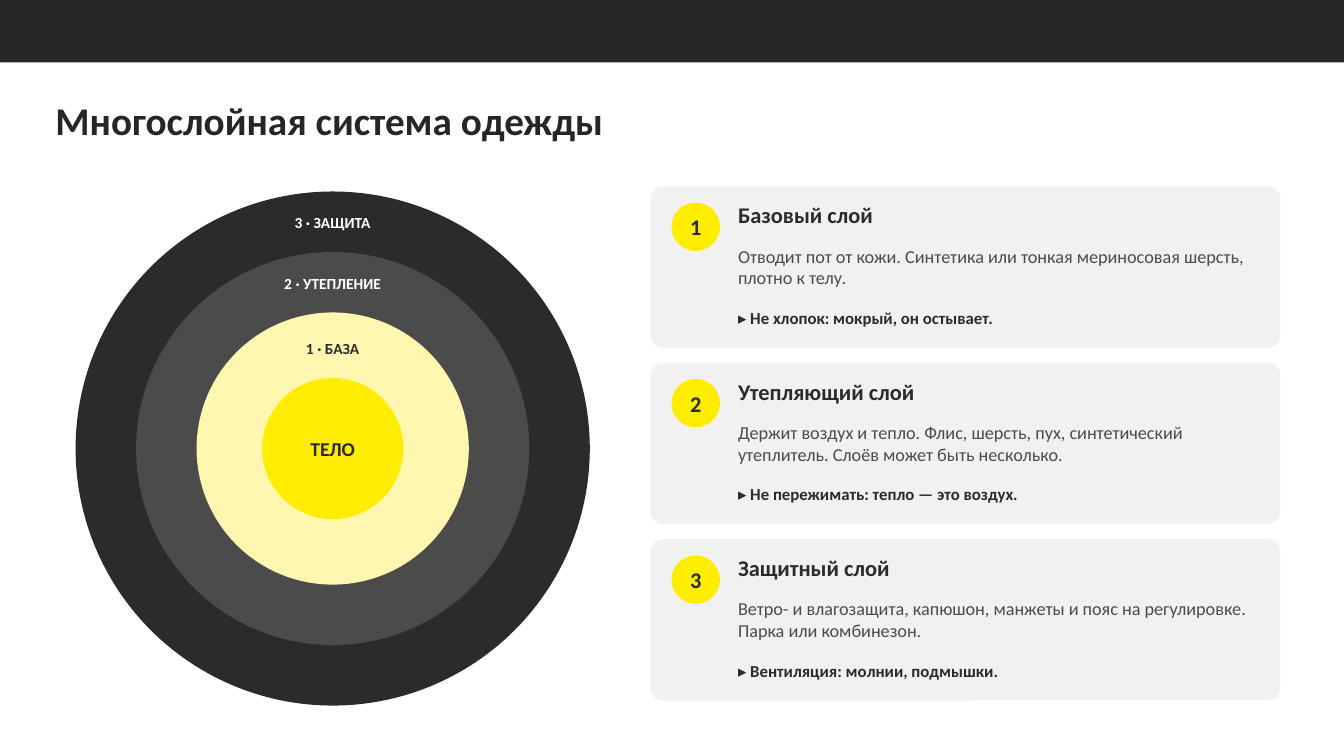
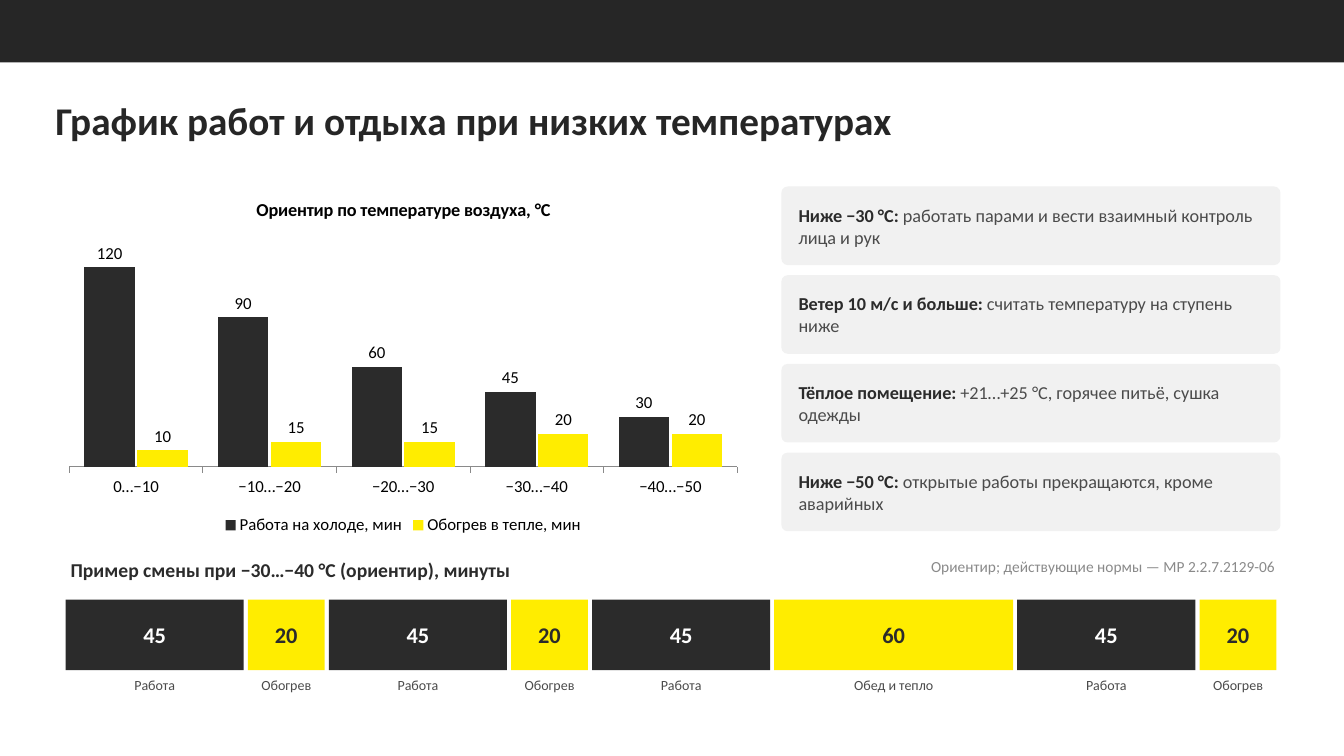
from pptx import Presentation
from pptx import util as u
from pptx.chart import data
from pptx.dml import color as dml
from pptx.enum import chart as charts, shapes, text

FONT = "Calibri"
BAND, DARK, GREY = "262626", "2B2B2B", "4B4B4B"
YELLOW, CREAM, PALE = "FFED00", "FFF7B0", "F1F1F1"
WHITE, MUTED, BLACK = "FFFFFF", "8A8A8A", "000000"
RECT = shapes.MSO_SHAPE.RECTANGLE
ROUNDED = shapes.MSO_SHAPE.ROUNDED_RECTANGLE
OVAL = shapes.MSO_SHAPE.OVAL
LEFT, CENTER, RIGHT = text.PP_ALIGN.LEFT, text.PP_ALIGN.CENTER, text.PP_ALIGN.RIGHT
TOP, MIDDLE = text.MSO_ANCHOR.TOP, text.MSO_ANCHOR.MIDDLE


def style_font(font, size, color, bold=False):
    font.name, font.size, font.bold = FONT, u.Pt(size), bold
    font.color.rgb = dml.RGBColor.from_string(color)


def place(page, at, words="", size=12, color=DARK, bold=False, align=LEFT,
          anchor=TOP, inset=0.02, kind=None, fill=None):
    """Add a filled shape, or a text box when no kind is given."""
    area = [u.Inches(length) for length in at]
    if kind is None:
        box = page.shapes.add_textbox(*area)
    else:
        box = page.shapes.add_shape(kind, *area)
        box.shadow.inherit = False
        box.fill.solid()
        box.fill.fore_color.rgb = dml.RGBColor.from_string(fill)
        box.line.fill.background()
        if kind == ROUNDED:
            box.adjustments[0] = 0.08
    if words:
        frame = box.text_frame
        frame.word_wrap = True
        frame.vertical_anchor = anchor
        frame.margin_left = frame.margin_right = u.Inches(inset)
        frame.margin_top = frame.margin_bottom = u.Inches(0.03)
        para = frame.paragraphs[0]
        para.alignment = align
        para.add_run().text = words
        style_font(para.font, size, color, bold)
    return box


deck = Presentation()
deck.slide_width, deck.slide_height = u.Inches(13.33), u.Inches(7.5)

# Title and top band on every slide
pages = []
for heading in ("Многослойная система одежды",
                "График работ и отдыха при низких температурах"):
    page = deck.slides.add_slide(deck.slide_layouts[5])
    title = page.shapes.title
    title.left, title.top = u.Inches(0.45), u.Inches(0.84)
    title.width, title.height = u.Inches(11.5), u.Inches(0.75)
    title.text_frame.text = heading
    title.text_frame.vertical_anchor = MIDDLE
    para = title.text_frame.paragraphs[0]
    para.alignment = LEFT
    para.line_spacing = 0.9
    style_font(para.font, 28, BAND, True)
    place(page, (0, 0, 13.33, 0.62), kind=RECT, fill=BAND)
    pages.append(page)
layers_page, schedule_page = pages

# Clothing layers as concentric circles
center_x, center_y = 3.3, 4.45
for diameter, fill in ((5.1, DARK), (3.9, GREY), (2.7, CREAM), (1.4, YELLOW)):
    place(layers_page, (center_x - diameter / 2, center_y - diameter / 2,
                        diameter, diameter), kind=OVAL, fill=fill)
for words, top, height, size, color in (
        ("ТЕЛО", 4.25, 0.4, 14, DARK),
        ("1 · БАЗА", 3.31, 0.3, 11, DARK),
        ("2 · УТЕПЛЕНИЕ", 2.66, 0.3, 11, WHITE),
        ("3 · ЗАЩИТА", 2.06, 0.3, 11, WHITE)):
    place(layers_page, (center_x - 1.2, top, 2.4, height), words, size, color,
          True, CENTER, MIDDLE, 0.05)

# Layer cards
layers = (
    ("Базовый слой",
     "Отводит пот от кожи. Синтетика или тонкая мериносовая шерсть, плотно к телу.",
     "▸ Не хлопок: мокрый, он остывает."),
    ("Утепляющий слой",
     "Держит воздух и тепло. Флис, шерсть, пух, синтетический утеплитель. "
     "Слоёв может быть несколько.",
     "▸ Не пережимать: тепло — это воздух."),
    ("Защитный слой",
     "Ветро- и влагозащита, капюшон, манжеты и пояс на регулировке. "
     "Парка или комбинезон.",
     "▸ Вентиляция: молнии, подмышки."),
)
for index, (name, description, advice) in enumerate(layers):
    top = 1.85 + 1.75 * index
    place(layers_page, (6.45, top, 6.25, 1.6), kind=ROUNDED, fill=PALE)
    place(layers_page, (6.66, top + 0.16, 0.48, 0.48), str(index + 1), 16, DARK,
          True, CENTER, MIDDLE, 0, OVAL, YELLOW)
    place(layers_page, (7.3, top + 0.12, 5.3, 0.4), name, 16, bold=True)
    place(layers_page, (7.3, top + 0.55, 5.3, 0.6), description, 13, GREY)
    place(layers_page, (7.3, top + 1.17, 5.3, 0.35), advice, 12, bold=True)

# Work and warming chart
chart_data = data.CategoryChartData()
chart_data.categories = ["0…−10", "−10…−20", "−20…−30", "−30…−40", "−40…−50"]
chart_data.add_series("Работа на холоде, мин", (120, 90, 60, 45, 30))
chart_data.add_series("Обогрев в тепле, мин", (10, 15, 15, 20, 20))
chart = schedule_page.shapes.add_chart(
    charts.XL_CHART_TYPE.COLUMN_CLUSTERED, u.Inches(0.55), u.Inches(1.8),
    u.Inches(6.9), u.Inches(3.55), chart_data).chart
style_font(chart.font, 12, BLACK)
chart.has_title = True
chart.chart_title.include_in_layout = False
chart.chart_title.text_frame.text = "Ориентир по температуре воздуха, °C"
style_font(chart.chart_title.text_frame.paragraphs[0].font, 13, BLACK, True)
chart.has_legend = True
chart.legend.position = charts.XL_LEGEND_POSITION.BOTTOM
chart.legend.include_in_layout = False
style_font(chart.legend.font, 12, BLACK)
chart.value_axis.visible = False
chart.value_axis.has_major_gridlines = False
chart.category_axis.major_tick_mark = charts.XL_TICK_MARK.OUTSIDE
chart.category_axis.format.line.color.rgb = dml.RGBColor.from_string(MUTED)
style_font(chart.category_axis.tick_labels.font, 12, BLACK)
plot = chart.plots[0]
plot.vary_by_categories = False
plot.gap_width, plot.overlap = 60, -5
for series, fill in zip(plot.series, (DARK, YELLOW)):
    series.format.fill.solid()
    series.format.fill.fore_color.rgb = dml.RGBColor.from_string(fill)
    labels = series.data_labels
    labels.show_value = True
    labels.position = charts.XL_LABEL_POSITION.OUTSIDE_END
    style_font(labels.font, 12, BLACK)

# Rule cards
rules = (
    ("Ниже −30 °C: ", "работать парами и вести взаимный контроль лица и рук"),
    ("Ветер 10 м/с и больше: ", "считать температуру на ступень ниже"),
    ("Тёплое помещение: ", "+21…+25 °C, горячее питьё, сушка одежды"),
    ("Ниже −50 °C: ", "открытые работы прекращаются, кроме аварийных"),
)
for index, (condition, action) in enumerate(rules):
    top = 1.85 + 0.88 * index
    place(schedule_page, (7.75, top, 4.95, 0.78), kind=ROUNDED, fill=PALE)
    box = place(schedule_page, (7.9, top, 4.7, 0.78), condition, 13, bold=True,
                anchor=MIDDLE)
    span = box.text_frame.paragraphs[0].add_run()
    span.text = action
    style_font(span.font, 13, GREY)

# Sample shift, block widths in proportion to minutes
place(schedule_page, (0.65, 5.5, 6.3, 0.35),
      "Пример смены при −30…−40 °C (ориентир), минуты", 14, bold=True, inset=0.05)
place(schedule_page, (7, 5.5, 5.7, 0.35),
      "Ориентир; действующие нормы — МР 2.2.7.2129-06", 11, MUTED,
      align=RIGHT, inset=0.05)
work, warming, lunch = (45, "Работа"), (20, "Обогрев"), (60, "Обед и тепло")
shift = (work, warming, work, warming, work, lunch, work, warming)
inches_per_minute = 12.05 / sum(minutes for minutes, _ in shift)
gap = 0.04
left = 0.65
for minutes, activity in shift:
    step = minutes * inches_per_minute
    fill, color = (DARK, WHITE) if activity == "Работа" else (YELLOW, DARK)
    place(schedule_page, (left, 5.95, step - gap, 0.7), str(minutes), 16, color,
          True, CENTER, MIDDLE, 0.01, RECT, fill)
    place(schedule_page, (left, 6.68, step - gap, 0.3), activity, 10, GREY,
          align=CENTER, inset=0)
    left += step

deck.save("out.pptx")
